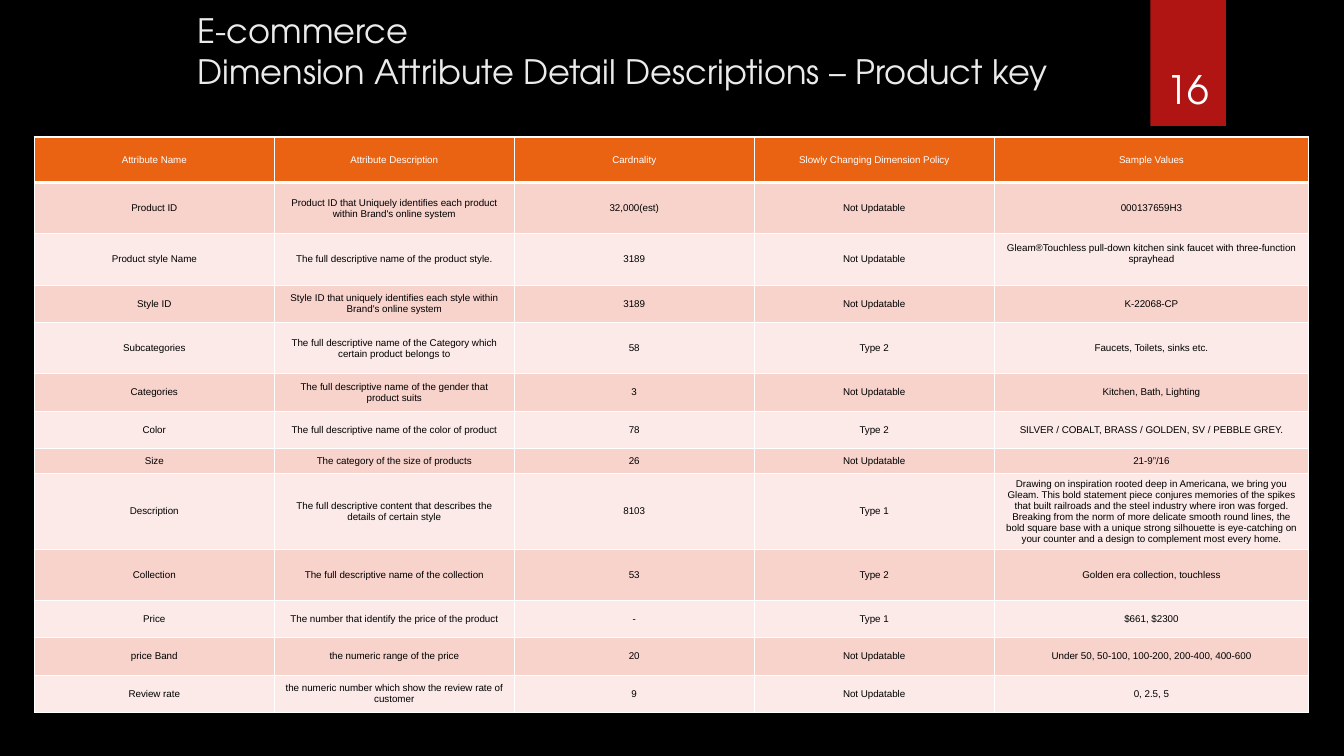
from lxml.etree import SubElement
from pptx import Presentation
from pptx.dml.color import RGBColor
from pptx.enum.shapes import MSO_SHAPE
from pptx.enum.text import MSO_ANCHOR, PP_ALIGN
from pptx.oxml.ns import qn
from pptx.util import Inches, Pt

COLORS = {
    "background": "000000",
    "title": "EBEBEB",
    "ribbon": "B01513",
    "header": "EA6312",
    "odd": "F7D3CC",
    "even": "FBEAE7",
    "white": "FFFFFF",
    "black": "000000",
}
TITLE_FONT = "TeX Gyre Adventor"
TABLE_FONT = "Arial"

TITLE_LINES = ["E-commerce", "Dimension Attribute Detail Descriptions – Product key"]
COLUMN_WIDTHS = [2.38, 2.38, 2.38, 2.38, 3.12]
ROW_HEIGHTS = [0.45, 0.51, 0.51, 0.37, 0.51, 0.37, 0.37, 0.25, 0.74, 0.51, 0.37, 0.37, 0.37]
STYLE_NAME_ROW = 2
FIXED = "Not Updatable"
DESCRIPTION_SAMPLE = (
    "Drawing on inspiration rooted deep in Americana, we bring you Gleam. "
    "This bold statement piece conjures memories of the spikes that built railroads "
    "and the steel industry where iron was forged. Breaking from the norm of more "
    "delicate smooth round lines, the bold square base with a unique strong silhouette "
    "is eye-catching on your counter and a design to complement most every home."
)
ATTRIBUTES = [
    ["Attribute Name", "Attribute Description", "Cardnality",
     "Slowly Changing Dimension Policy", "Sample Values"],
    ["Product ID", "Product ID that Uniquely identifies each product within Brand's online system",
     "32,000(est)", FIXED, "000137659H3"],
    ["Product style Name", "The full descriptive name of the product style.", "3189", FIXED,
     "Gleam®Touchless pull-down kitchen sink faucet with three-function sprayhead"],
    ["Style ID", "Style ID that uniquely identifies each style within Brand's online system",
     "3189", FIXED, "K-22068-CP"],
    ["Subcategories", "The full descriptive name of the Category which certain product belongs to",
     "58", "Type 2", "Faucets, Toilets, sinks etc."],
    ["Categories", "The full descriptive name of the gender that product suits",
     "3", FIXED, "Kitchen, Bath, Lighting"],
    ["Color", "The full descriptive name of the color of product", "78", "Type 2",
     "SILVER / COBALT, BRASS / GOLDEN, SV / PEBBLE GREY."],
    ["Size", "The category of the size of products", "26", FIXED, "21-9”/16"],
    ["Description", "The full descriptive content that describes the details of certain style",
     "8103", "Type 1", DESCRIPTION_SAMPLE],
    ["Collection", "The full descriptive name of the collection", "53", "Type 2",
     "Golden era collection, touchless"],
    ["Price", "The number that identify the price of the product", "-", "Type 1", "$661, $2300"],
    ["price Band", "the numeric range of the price", "20", FIXED,
     "Under 50, 50-100, 100-200, 200-400, 400-600"],
    ["Review rate", "the numeric number which show the review rate of customer",
     "9", FIXED, "0, 2.5, 5"],
]


def rgb(name):
    return RGBColor.from_string(COLORS[name])


def place(shape, left, top, width, height):
    shape.left, shape.top = Inches(left), Inches(top)
    shape.width, shape.height = Inches(width), Inches(height)


def add_span(para, text, size, font, color):
    span = para.add_run()
    span.text = text
    span.font.size = Pt(size)
    span.font.name = font
    span.font.color.rgb = rgb(color)


def fill_title(page):
    title = page.shapes.title
    place(title, 1.86, 0.05, 9.84, 1.57)
    title.text_frame.word_wrap = True
    title.text_frame.vertical_anchor = MSO_ANCHOR.TOP
    para = title.text_frame.paragraphs[0]
    para.alignment = PP_ALIGN.LEFT
    for number, line in enumerate(TITLE_LINES):
        if number:
            para.add_line_break()
        add_span(para, line, 24, TITLE_FONT, "title")


def add_ribbon(page):
    ribbon = page.shapes.add_shape(
        MSO_SHAPE.RECTANGLE, Inches(11.41), Inches(0), Inches(0.75), Inches(1.25))
    ribbon.shadow.inherit = False
    ribbon.fill.solid()
    ribbon.fill.fore_color.rgb = rgb("ribbon")
    ribbon.line.fill.background()


def add_page_number(page):
    box = page.shapes.add_textbox(Inches(11.32), Inches(0.32), Inches(0.92), Inches(0.84))
    box.text_frame.word_wrap = True
    box.text_frame.vertical_anchor = MSO_ANCHOR.BOTTOM
    para = box.text_frame.paragraphs[0]
    para.alignment = PP_ALIGN.CENTER
    add_span(para, "16", 28, TITLE_FONT, "white")


def set_borders(cell, bottom_width):
    properties = cell._tc.get_or_add_tcPr()
    for side, width in (("L", 1), ("R", 1), ("T", 1), ("B", bottom_width)):
        line = SubElement(properties, qn(f"a:ln{side}"), w=str(Pt(width)))
        paint = SubElement(line, qn("a:solidFill"))
        SubElement(paint, qn("a:srgbClr"), val=COLORS["white"])


def fill_cell(cell, text, fill, color, bottom_width):
    set_borders(cell, bottom_width)
    cell.fill.solid()
    cell.fill.fore_color.rgb = rgb(fill)
    cell.vertical_anchor = MSO_ANCHOR.MIDDLE
    para = cell.text_frame.paragraphs[0]
    para.alignment = PP_ALIGN.CENTER
    add_span(para, text, 7, TABLE_FONT, color)


def add_attribute_table(page):
    table = page.shapes.add_table(
        len(ROW_HEIGHTS), len(COLUMN_WIDTHS), Inches(0.34), Inches(1.36),
        Inches(sum(COLUMN_WIDTHS)), Inches(sum(ROW_HEIGHTS))).table
    for column, width in zip(table.columns, COLUMN_WIDTHS):
        column.width = Inches(width)
    for number, (row, height) in enumerate(zip(table.rows, ROW_HEIGHTS)):
        row.height = Inches(height)
        if number == 0:
            look = ("header", "white", 3)
        else:
            look = ("odd" if number % 2 else "even", "black", 1)
        for cell, text in zip(row.cells, ATTRIBUTES[number]):
            fill_cell(cell, text, *look)
    table.cell(STYLE_NAME_ROW, 4).margin_bottom = Inches(0.16)


def main():
    deck = Presentation()
    deck.slide_width, deck.slide_height = Inches(13.33), Inches(7.5)
    page = deck.slides.add_slide(deck.slide_layouts[5])
    page.background.fill.solid()
    page.background.fill.fore_color.rgb = rgb("background")
    add_ribbon(page)
    fill_title(page)
    add_attribute_table(page)
    add_page_number(page)
    deck.save("out.pptx")


if __name__ == "__main__":
    main()
